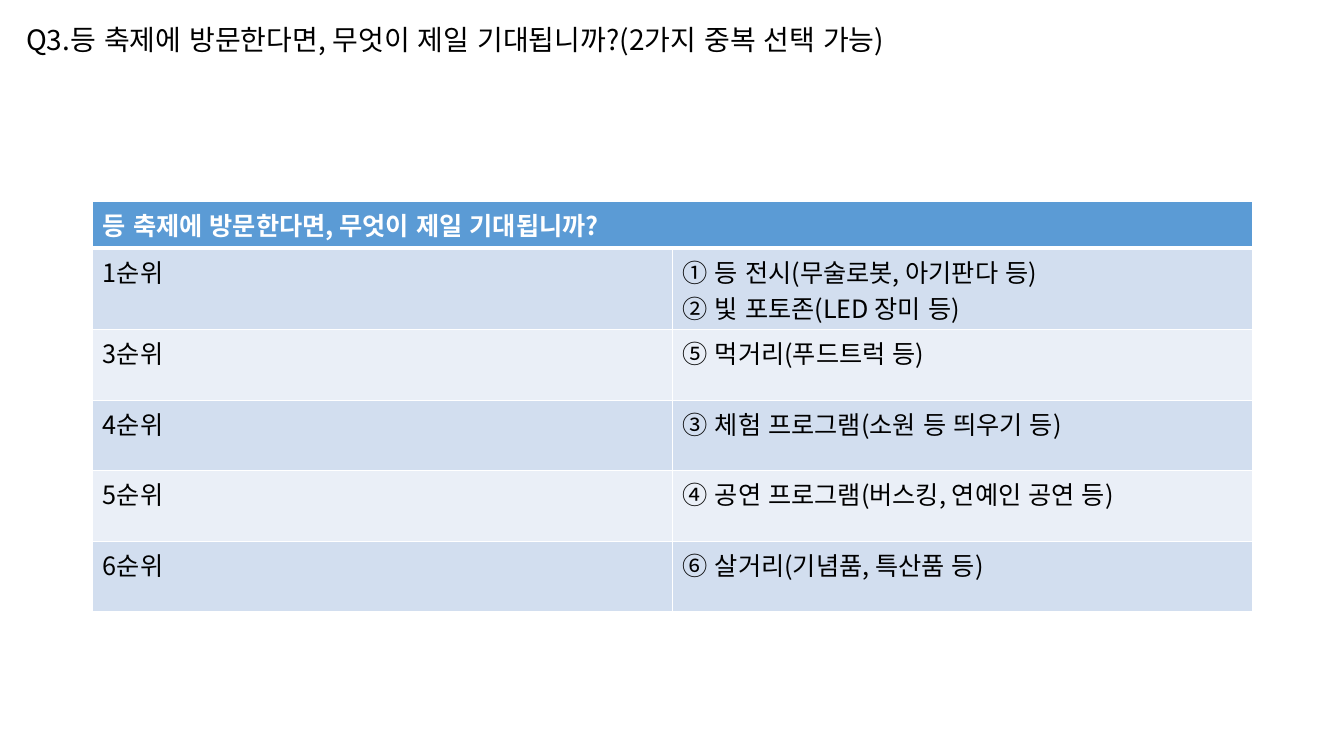
"""Build the survey slide that ranks what visitors expect of the lantern festival."""
from dataclasses import dataclass

from lxml import etree
from pptx import Presentation
from pptx.dml.color import RGBColor
from pptx.enum.lang import MSO_LANGUAGE_ID
from pptx.enum.text import MSO_ANCHOR, MSO_AUTO_SIZE, PP_ALIGN
from pptx.oxml.ns import qn
from pptx.util import Inches, Pt

LEFT = PP_ALIGN.LEFT
TOP = MSO_ANCHOR.TOP
GROW = MSO_AUTO_SIZE.SHAPE_TO_FIT_TEXT
KOREAN = MSO_LANGUAGE_ID.KOREAN
TITLE_ONLY = 5


@dataclass(frozen=True)
class Theme:
    """Colours, font and sizes of the slide."""
    font: str = "Noto Sans CJK KR"
    title: int = 20
    body: int = 18
    ink: str = "000000"
    white: str = "FFFFFF"
    head: str = "5B9BD5"
    bands: tuple[str, str] = ("D2DEEF", "EAEFF7")
    thin: int = 1
    thick: int = 3


@dataclass(frozen=True)
class Rank:
    """One table row: a place, its answers and its height."""
    place: str
    picks: str
    height: float = 0.7


THEME = Theme()
TITLE = "Q3.등 축제에 방문한다면, 무엇이 제일 기대됩니까?(2가지 중복 선택 가능)"
HEAD = "등 축제에 방문한다면, 무엇이 제일 기대됩니까?"
TALL = 0.46
RANKS = [
    Rank("1순위", "① 등 전시(무술로봇, 아기판다 등)\n② 빛 포토존(LED 장미 등)", 0.81),
    Rank("3순위", "⑤ 먹거리(푸드트럭 등)"),
    Rank("4순위", "③ 체험 프로그램(소원 등 띄우기 등)"),
    Rank("5순위", "④ 공연 프로그램(버스킹, 연예인 공연 등)"),
    Rank("6순위", "⑥ 살거리(기념품, 특산품 등)"),
]


def write(frame, text: str, size: int, color: str, bold: bool = False) -> None:
    """Fill a text frame with left-aligned, formatted paragraphs."""
    frame.text = text
    look = {"name": THEME.font, "size": Pt(size), "bold": bold,
            "language_id": KOREAN}
    for para in frame.paragraphs:
        para.alignment = LEFT
        for run in para.runs:
            for key, value in look.items():
                setattr(run.font, key, value)
            run.font.color.rgb = RGBColor.from_string(color)
            east = etree.SubElement(run.font._element, qn("a:ea"))
            east.set("typeface", THEME.font)


def border(cell, widths: dict[str, int]) -> None:
    """Draw white lines on the sides of a cell."""
    props = cell._tc.get_or_add_tcPr()
    for side, width in widths.items():
        line = etree.SubElement(props, qn(f"a:ln{side}"), w=str(Pt(width)))
        fill = etree.SubElement(line, qn("a:solidFill"))
        etree.SubElement(fill, qn("a:srgbClr"), val=THEME.white)


def paint(cell, fill: str, top: int, low: int) -> None:
    """Give a cell its lines and fill."""
    border(cell, {"L": THEME.thin, "R": THEME.thin, "T": top, "B": low})
    cell.fill.solid()
    cell.fill.fore_color.rgb = RGBColor.from_string(fill)


def add_title(slide) -> None:
    """Place and format the question."""
    title = slide.shapes.title
    box = {"left": 0.16, "top": 0.17, "width": 9.42, "height": 0.44}
    for key, value in box.items():
        setattr(title, key, Inches(value))
    frame = title.text_frame
    for key, value in {"word_wrap": False, "auto_size": GROW,
                       "vertical_anchor": TOP}.items():
        setattr(frame, key, value)
    write(frame, TITLE, THEME.title, THEME.ink)


def add_ranks(slide) -> None:
    """Draw the table of ranked answers."""
    sizes = [TALL, *(rank.height for rank in RANKS)]
    table = slide.shapes.add_table(
        len(sizes), 2, Inches(0.92), Inches(2), Inches(11.5), Inches(sum(sizes))
    ).table
    for row, size in zip(table.rows, sizes):
        row.height = Inches(size)
    for col in range(2):
        paint(table.cell(0, col), THEME.head, THEME.thin, THEME.thick)
    table.cell(0, 0).merge(table.cell(0, 1))
    write(table.cell(0, 0).text_frame, HEAD, THEME.body, THEME.white, True)
    for index, rank in enumerate(RANKS):
        top = THEME.thin if index else THEME.thick
        for col, text in enumerate((rank.place, rank.picks)):
            cell = table.cell(index + 1, col)
            paint(cell, THEME.bands[index % 2], top, THEME.thin)
            write(cell.text_frame, text, THEME.body, THEME.ink)


def main() -> None:
    """Build and save the deck."""
    deck = Presentation()
    deck.slide_width = Inches(13.33)
    deck.slide_height = Inches(7.5)
    slide = deck.slides.add_slide(deck.slide_layouts[TITLE_ONLY])
    add_title(slide)
    add_ranks(slide)
    deck.save("out.pptx")


if __name__ == "__main__":
    main()
